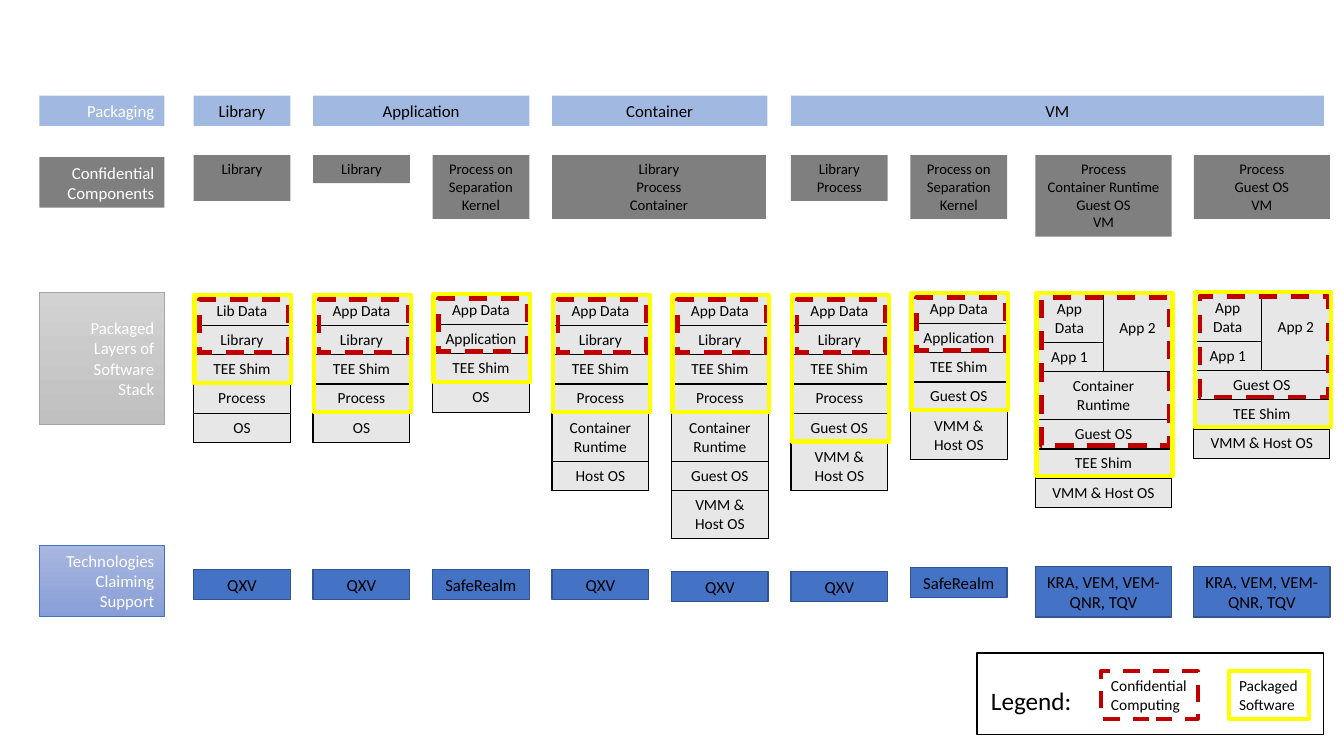
from lxml.etree import SubElement as Sub
from pptx import Presentation
from pptx.dml.color import RGBColor as RGB
from pptx.enum.dml import MSO_LINE as Dash
from pptx.enum.shapes import MSO_SHAPE as Form
from pptx.enum.text import MSO_ANCHOR as Anchor, PP_ALIGN as Align
from pptx.oxml import parse_xml
from pptx.oxml.ns import nsdecls, qn
from pptx.util import Inches as In, Pt

theme = {
    "font": "Calibri", "black": "000000", "white": "FFFFFF", "cell": "E7E7E7",
    "blue": "4472C4", "edge": "325491", "grey": "A5A5A5",
    "red": "C00000", "gold": "FFFF00",
    "steel": ("A8B7DF", "889ED7"), "ash": ("D2D2D2", "C0C0C0"),
    "head": 12, "part": 10.5, "layer": 11, "key": 18,
}

deck = Presentation()
deck.slide_width, deck.slide_height = In(13.33), In(7.5)
slide = deck.slides.add_slide(deck.slide_layouts[6])


def write(frame, text, size, color="black", align=Align.CENTER):
    frame.text = text
    look = {"name": theme["font"], "size": Pt(size)}
    for para in frame.paragraphs:
        para.alignment = align
        for key, val in look.items():
            setattr(para.font, key, val)
        para.font.color.rgb = RGB.from_string(theme[color])


def box(x, y, w, h, fill=None, line=None, thick=1, dash=False, half=False,
        text="", size=theme["head"], color="black", align=Align.CENTER,
        anchor=Anchor.MIDDLE, wrap=True):
    shape = slide.shapes.add_shape(Form.RECTANGLE, In(x), In(y), In(w), In(h))
    shape.shadow.inherit = False
    if fill is None:
        shape.fill.background()
    elif isinstance(theme[fill], tuple):
        shape.fill.gradient()
        shape.fill.gradient_angle = 270
        for stop, tone in zip(shape.fill.gradient_stops, theme[fill]):
            stop.color.rgb = RGB.from_string(tone)
    else:
        shape.fill.solid()
        shape.fill.fore_color.rgb = RGB.from_string(theme[fill])
        if half:
            tint = shape.fill._xPr.find(".//" + qn("a:srgbClr"))
            Sub(tint, qn("a:alpha"), val="50000")
    if line:
        shape.line.color.rgb = RGB.from_string(theme[line])
        shape.line.width = Pt(thick)
        if dash:
            shape.line.dash_style = Dash.DASH
    else:
        shape.line.fill.background()
    if text:
        frame = shape.text_frame
        frame.word_wrap, frame.vertical_anchor = wrap, anchor
        write(frame, text, size, color, align)


# Column grid: seven narrow stacks, then two wide ones
left, pitch, slim, wide = 1.92, 1.185, 0.96, 1.35
cols = [left + pitch * i for i in range(7)] + [10.27, 11.84]
one, two = 0.29, 0.47  # heights of rows with one and two lines

# Row labels
for y, h, fill, line, half, text in [
    (0.95, 0.3, "blue", None, True, "Packaging"),
    (1.56, 0.5, "black", None, True, "Confidential\nComponents"),
    (2.9, 1.31, "ash", "grey", False, "Packaged Layers of\nSoftware\nStack"),
    (5.41, 0.71, "steel", "blue", False, "Technologies\nClaiming\nSupport"),
]:
    box(0.39, y, 1.24, h, fill, line, 0.5, half=half, text=text,
        color="white", align=Align.RIGHT)

# Packaging: first column and right edge
for col, end, text in [(0, 2.88, "Library"), (1, 5.25, "Application"),
                       (3, 7.61, "Container"), (5, 13.13, "VM")]:
    box(cols[col], 0.95, end - cols[col], 0.3, "blue", half=True, text=text)

# Confidential components: column, width, lines
for col, w, rows, text in [
    (0, slim, 2, "Library"), (1, slim, 1, "Library"),
    (2, slim, 3, "Process on Separation Kernel"),
    (3, 2.12, 3, "Library\nProcess\nContainer"),
    (5, slim, 2, "Library\nProcess"),
    (6, slim, 3, "Process on Separation Kernel"),
    (7, wide, 4, "Process\nContainer Runtime\nGuest OS\nVM"),
    (8, wide, 3, "Process\nGuest OS\nVM"),
]:
    box(cols[col], 1.54, w, 0.1 + 0.177 * rows, "black", half=True, text=text,
        size=theme["part"], anchor=Anchor.TOP)

# Stacks: top, layers, confidential rows, packaged rows, technology and its top
host, run = "VMM & Host OS", "Container Runtime"
vault, realm, many = "QXV", "SafeRealm", "KRA, VEM, VEM-QNR, TQV"
lib = ["App Data", "Library", "TEE Shim", "Process"]
app = ["App Data", "Application", "TEE Shim"]
duo = ["App Data", "App 1"]
stacks = [
    (2.94, ["Lib Data"] + lib[1:] + ["OS"], 2, 3, vault, 5.65),
    (2.94, lib + ["OS"], 2, 4, vault, 5.65),
    (2.93, app + ["OS"], 2, 3, realm, 5.65),
    (2.94, lib + ["Container\nRuntime", "Host OS"], 2, 4, vault, 5.65),
    (2.94, lib + [run, "Guest OS", host], 2, 4, vault, 5.67),
    (2.94, lib + ["Guest OS", "VMM &\nHost OS"], 2, 5, vault, 5.67),
    (2.92, app + ["Guest OS", host], 2, 4, realm, 5.63),
    (2.92, duo + [run, "Guest OS", "TEE Shim", host], 4, 5, many, 5.62),
    (2.91, duo + ["Guest OS", "TEE Shim", host], 3, 4, many, 5.62),
]
for x, (top, names, safe, pack, tech, base) in zip(cols, stacks):
    pair = names[:2] == duo
    w, count = (wide, 2) if pair else (slim, 1)
    tall = [two if "Runtime" in n or (n.startswith("VMM") and not pair)
            or (n == "App Data" and pair) else one for n in names]
    grid = slide.shapes.add_table(len(names), count, In(x), In(top),
                                  In(w), In(sum(tall))).table
    grid.first_row = grid.horz_banding = False
    for r, (name, h) in enumerate(zip(names, tall)):
        grid.rows[r].height = In(h)
        if pair and r > 1:
            grid.cell(r, 0).merge(grid.cell(r, 1))
        write(grid.cell(r, 0).text_frame, name, theme["layer"])
    if pair:
        second = grid.cell(0, 1)
        second.merge(grid.cell(1, 1))
        write(second.text_frame, "App 2", theme["layer"])
        second.vertical_anchor = Anchor.MIDDLE
        second.margin_top, second.margin_bottom = 0, In(0.09)
    for cell in grid.iter_cells():
        cell.fill.solid()
        cell.fill.fore_color.rgb = RGB.from_string(theme["cell"])
        for i, side in enumerate("LRTB"):
            cell._tc.get_or_add_tcPr().insert(i, parse_xml(
                f'<a:ln{side} w="12700" {nsdecls("a")}><a:solidFill>'
                f'<a:srgbClr val="{theme["black"]}"/></a:solidFill></a:ln{side}>'))
    box(x + 0.06, top + 0.03, w - 0.08, sum(tall[:safe]) - 0.05,
        line="red", thick=3.25, dash=True)
    box(x + 0.01, top - 0.01, w, sum(tall[:pack]), line="gold", thick=3)
    box(x, base, w, 0.5 if pair else 0.3, "blue", "edge", text=tech)

# Legend
box(9.69, 6.48, 3.44, 0.81, line="black")
note = slide.shapes.add_textbox(In(9.73), In(6.75), In(1.01), In(0.4)).text_frame
note.word_wrap = False
write(note, "Legend:", theme["key"], align=Align.LEFT)
for x, w, line, dash, text in [
    (10.92, 0.96, "red", True, "Confidential\nComputing"),
    (12.19, 0.79, "gold", False, "Packaged\nSoftware"),
]:
    box(x, 6.66, w, 0.47, line=line, thick=3, dash=dash, text=text,
        size=theme["layer"], align=Align.LEFT, wrap=False)

deck.save("out.pptx")
